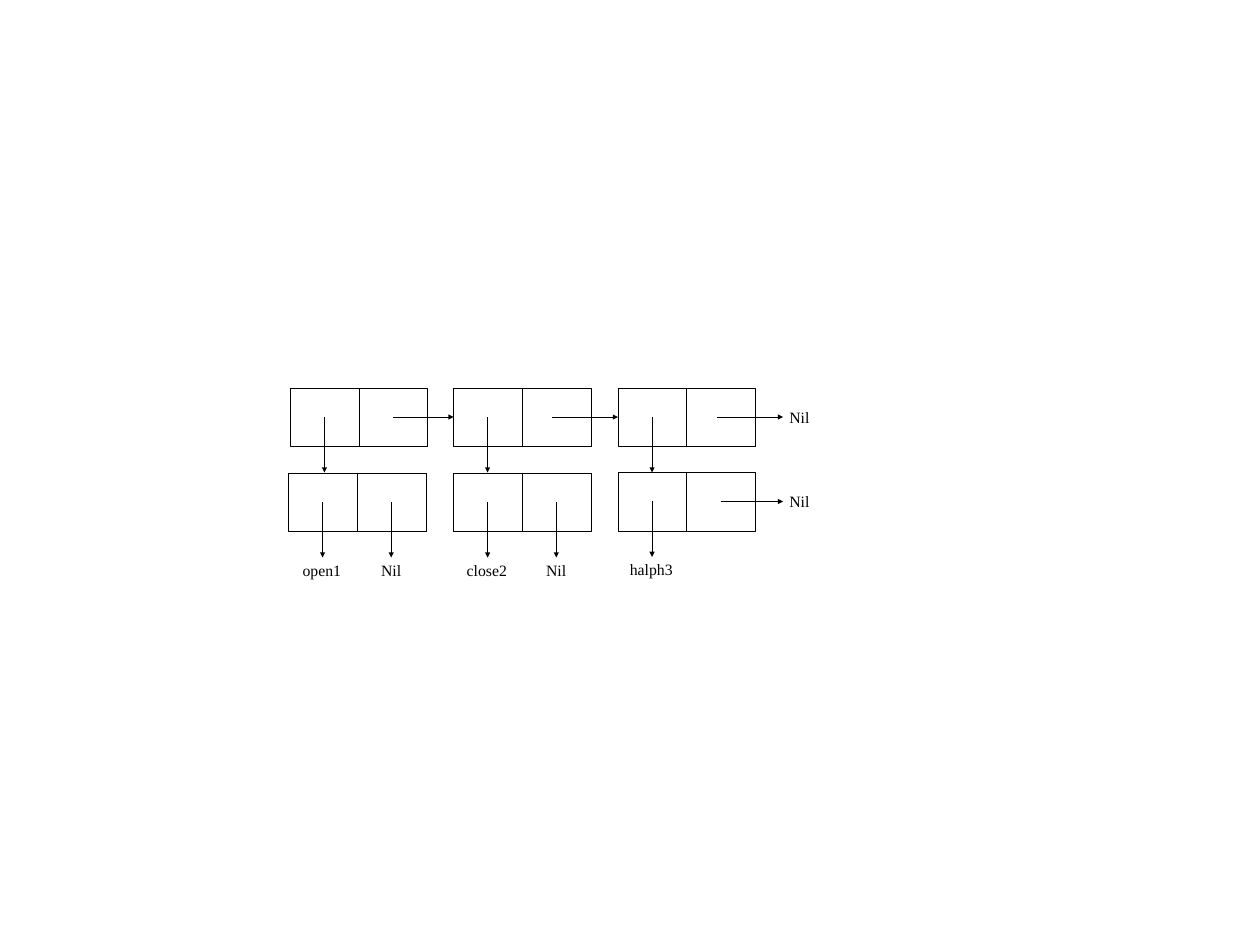
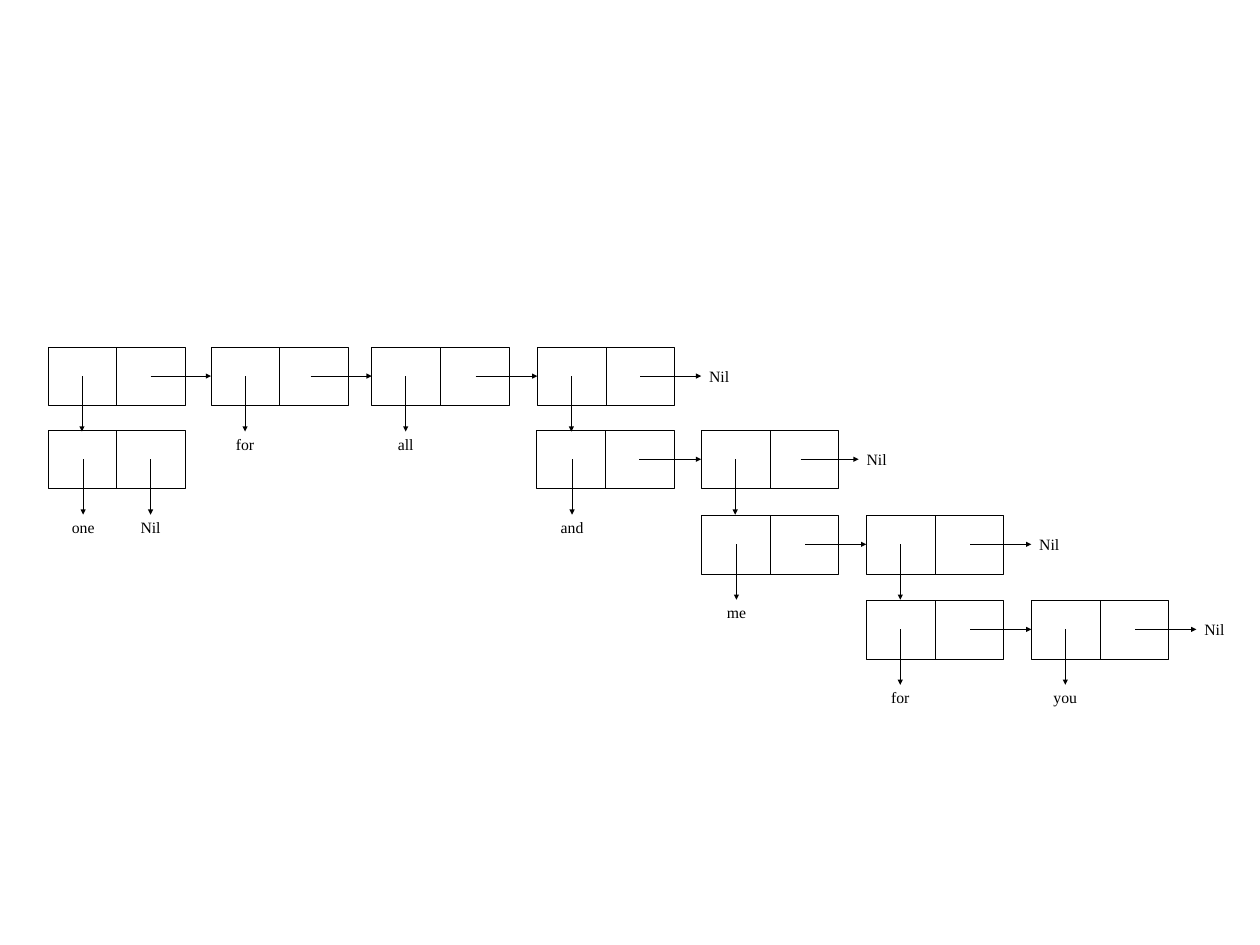
"""Draw two box-and-pointer diagrams of nested lists."""
from dataclasses import dataclass
from typing import Any, Optional

import pptx
import pptx.dml.color
import pptx.enum.shapes
import pptx.enum.text
import pptx.oxml
import pptx.oxml.ns
import pptx.util
from pptx.util import Inches

BLACK = "000000"
CELL_W, CELL_H = 2.18, 0.93
MID_Y = 0.46            # pointers start half way down a cell
CAR_X, CDR_X = 0.54, 1.63
DROP = 0.88             # length of a downward pointer
LABEL_H = 0.4
NIL_RISE = 0.2          # a Nil at the right is centred on its pointer
FONT = {"name": "Times New Roman", "size": pptx.util.Pt(18)}
ALIGN = pptx.enum.text.PP_ALIGN


@dataclass
class Cell:
    """A two-part cell; without a word its first part points to a list below."""
    left: float
    word: Optional[str] = None
    word_w: float = 0.77
    car_x: float = CAR_X
    cdr_x: float = CDR_X


@dataclass
class Chain:
    """Linked cells in one row, ending in Nil at the right or below."""
    top: float
    cells: list[Cell]
    nil_below: bool = False
    reach: float = 2.62


@dataclass
class Diagram:
    """All chains of one slide and the style of its labels."""
    chains: list[Chain]
    align: Any
    nil_w: float


DIAGRAMS = [
    Diagram([
        Chain(6.16, [Cell(4.61), Cell(7.2, cdr_x=1.57), Cell(9.81, cdr_x=1.57)]),
        Chain(7.51, [Cell(4.58, "open1", 0.83)], nil_below=True),
        Chain(7.51, [Cell(7.2, "close2", 0.86)], nil_below=True),
        Chain(7.5, [Cell(9.81, "halph3", 0.9)]),
    ], ALIGN.LEFT, 0.52),
    Diagram([
        Chain(5.51, [Cell(0.76), Cell(3.35, "for", 0.72, cdr_x=1.58),
                     Cell(5.9, "all", cdr_x=1.65), Cell(8.53)], reach=2.6),
        Chain(6.83, [Cell(0.76, "one", 1, 0.56)], nil_below=True),
        Chain(6.83, [Cell(8.52, "and", 1, 0.56), Cell(11.13, cdr_x=1.58)], reach=2.5),
        Chain(8.18, [Cell(11.13, "me", 1, 0.56, 1.65), Cell(13.75, cdr_x=1.65)]),
        Chain(9.53, [Cell(13.75, "for", cdr_x=1.65), Cell(16.37, "you", cdr_x=1.65)]),
    ], ALIGN.CENTER, 0.57),
]


def paint(color: Any, value: str) -> None:
    """Set a colour format from a hex string."""
    color.rgb = pptx.dml.color.RGBColor.from_string(value)


def apply(target: Any, values: dict[str, Any]) -> None:
    """Set each named attribute of the target."""
    for name, value in values.items():
        setattr(target, name, value)


def add_line(s: Any, x1: float, y1: float, x2: float, y2: float,
             arrow: bool = True) -> None:
    """Draw a thin line, with an arrowhead at its end unless told otherwise."""
    sp = s.shapes.add_connector(pptx.enum.shapes.MSO_CONNECTOR.STRAIGHT,
                                *map(Inches, (x1, y1, x2, y2)))
    sp.line.width = pptx.util.Pt(0.5)
    paint(sp.line.color, BLACK)
    if arrow:
        ln = sp.line._get_or_add_ln()
        ln.append(pptx.oxml.parse_xml(
            f'<a:tailEnd {pptx.oxml.ns.nsdecls("a")} type="triangle"/>'))
    sp._element.spPr.append(pptx.oxml.parse_xml(
        f'<a:effectLst {pptx.oxml.ns.nsdecls("a")}/>'))


def add_label(s: Any, text: str, left: float, top: float, width: float,
              align: Any) -> None:
    """Write a word in a text box."""
    sp = s.shapes.add_textbox(*map(Inches, (left, top, width, LABEL_H)))
    tf = sp.text_frame
    tf.word_wrap = False
    p = tf.paragraphs[0]
    p.alignment = align
    r = p.add_run()
    r.text = text
    apply(r.font, FONT)
    paint(r.font.color, BLACK)


def add_drop(s: Any, x: float, top: float, word: Optional[str], width: float,
             align: Any) -> None:
    """Draw a downward pointer, with a word centred under it if there is one."""
    start = top + MID_Y
    add_line(s, x, start, x, start + DROP)
    if word:
        add_label(s, word, x - width / 2, start + DROP, width, align)


def add_cell(s: Any, cell: Cell, top: float, align: Any) -> None:
    """Draw a divided box and the pointer of its first part."""
    sp = s.shapes.add_shape(pptx.enum.shapes.MSO_SHAPE.RECTANGLE,
                            *map(Inches, (cell.left, top, CELL_W, CELL_H)))
    sp.shadow.inherit = False
    sp.fill.background()
    sp.line.width = pptx.util.Pt(0.75)
    paint(sp.line.color, BLACK)
    middle = cell.left + CELL_W / 2
    add_line(s, middle, top, middle, top + CELL_H, arrow=False)
    add_drop(s, cell.left + cell.car_x, top, cell.word, cell.word_w, align)


def add_chain(s: Any, chain: Chain, diagram: Diagram) -> None:
    """Draw a row of cells, the links between them and the closing Nil."""
    y = chain.top + MID_Y
    for cell in chain.cells:
        add_cell(s, cell, chain.top, diagram.align)
    for cell, following in zip(chain.cells, chain.cells[1:]):
        add_line(s, cell.left + cell.cdr_x, y, following.left, y)
    last = chain.cells[-1]
    start = last.left + last.cdr_x
    if chain.nil_below:
        add_drop(s, start, chain.top, "Nil", diagram.nil_w, diagram.align)
    else:
        end = last.left + chain.reach
        add_line(s, start, y, end, y)
        add_label(s, "Nil", end, y - NIL_RISE, diagram.nil_w, diagram.align)


def main() -> None:
    """Build and save the presentation."""
    prs = pptx.Presentation()
    apply(prs, {"slide_width": Inches(20), "slide_height": Inches(15)})
    for diagram in DIAGRAMS:
        s = prs.slides.add_slide(prs.slide_layouts[6])
        for chain in diagram.chains:
            add_chain(s, chain, diagram)
    prs.save("out.pptx")


main()
